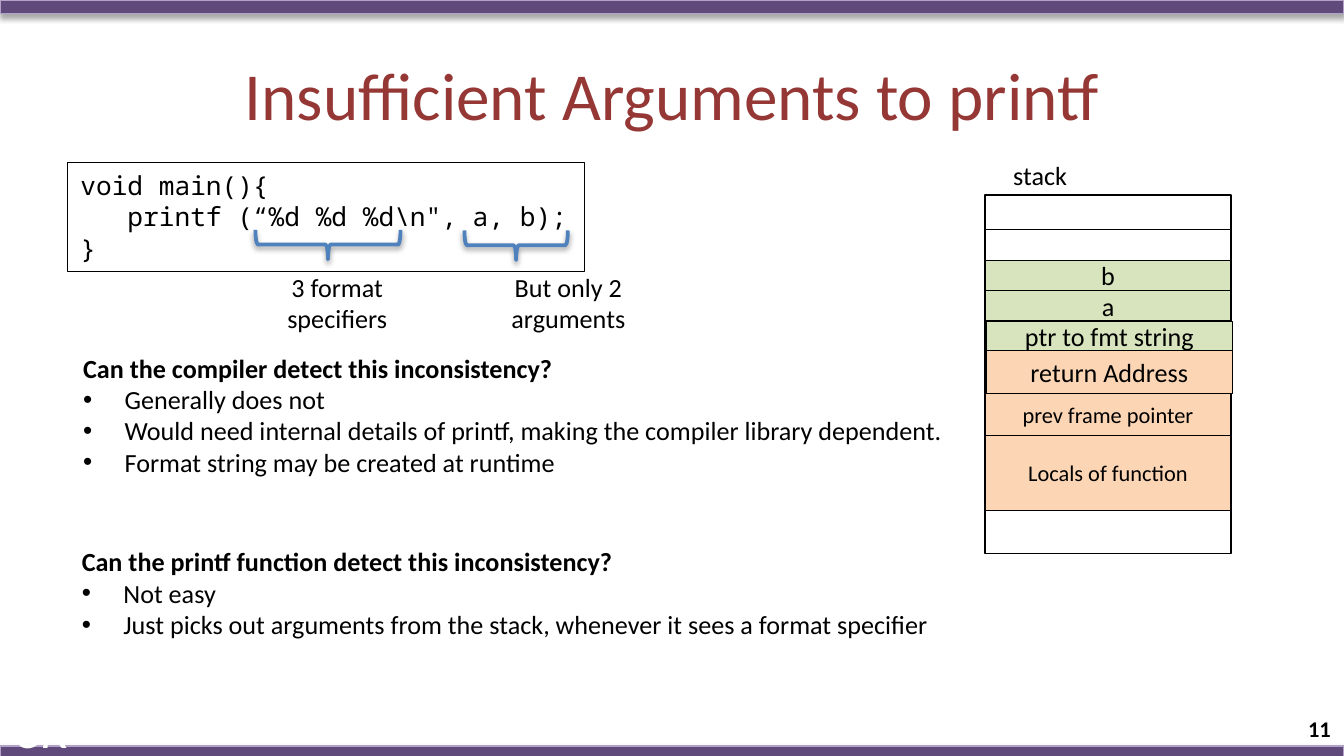
from lxml.etree import SubElement
from pptx import Presentation
from pptx.dml.color import RGBColor
from pptx.enum.shapes import MSO_SHAPE
from pptx.enum.text import MSO_ANCHOR, PP_ALIGN
from pptx.oxml.ns import qn
from pptx.util import Inches, Pt

# Content
TITLE = "Insufficient Arguments to printf"
PAGE_NUMBER = "11"
INITIALS = "CR"
CODE = ["void main(){", "   printf (“%d %d %d\\n\", a, b);", "}"]
# Brace: left, top, width, height before its quarter turn
BRACES = [(2.33, 1.28, 0.22, 1.08), (3.73, 1.44, 0.22, 0.77)]
BRACE_NOTES = [
    ("3 format\nspecifiers", (2.03, 1.97, 0.96, 0.57)),
    ("But only 2\narguments", (3.7, 1.97, 1.06, 0.57)),
]
QUESTIONS = [
    ((0.52, 2.57, 6.64, 1.28), [
        "Can the compiler detect this inconsistency?",
        "Generally does not",
        "Would need internal details of printf, making the compiler library dependent.",
        "Format string may be created at runtime",
    ]),
    ((0.51, 4.01, 6.58, 0.81), [
        "Can the printf function detect this inconsistency?",
        "Not easy",
        "Just picks out arguments from the stack, whenever it sees a format specifier",
    ]),
]
# Stack slots from the top: text, height, fill, text size, shift to the right
STACK = [
    ("", 0.23, None, 14, 0),
    ("b", 0.22, "green", 14, 0),
    ("a", 0.23, "green", 14, 0),
    ("ptr to fmt string", 0.22, "green", 14, 0.01),
    ("return Address", 0.32, "orange", 14, 0.01),
    ("prev frame pointer", 0.31, "orange", 12, 0),
    ("Locals of function", 0.56, "orange", 12, 0),
]

# Look and layout
COLORS = {
    "black": "000000", "white": "FFFFFF", "title": "953735",
    "bar": "604A7B", "bar_edge": "B3A2C7", "brace": "4F81BD",
    "green": "D7E4BD", "orange": "FCD5B5",
}
WIDTH = 10
HEIGHT = WIDTH * 9 / 16
BAR_HEIGHT = 0.1
STACK_LEFT, STACK_TOP, STACK_WIDTH, STACK_HEIGHT = 7.33, 1.45, 1.83, 2.67
FIRST_SLOT_TOP = STACK_TOP + 0.26
INDENT = 0.31

deck = Presentation()
deck.slide_width, deck.slide_height = Inches(WIDTH), Inches(HEIGHT)
page = deck.slides.add_slide(deck.slide_layouts[6])


def color(name):
    return RGBColor.from_string(COLORS[name])


def write(box, lines, size=14, font="Calibri", ink="black", bold=False, italic=False,
          align=PP_ALIGN.LEFT, anchor=MSO_ANCHOR.TOP, wrap=False, question=False):
    """Fill a box; a question has a bold first line and bullets below it."""
    frame = box.text_frame
    frame.word_wrap = wrap
    frame.vertical_anchor = anchor
    for index, line in enumerate(lines):
        para = frame.add_paragraph() if index else frame.paragraphs[0]
        para.alignment = align
        if question and index:
            properties = para._p.get_or_add_pPr()
            properties.set("marL", str(Inches(INDENT)))
            properties.set("indent", str(-Inches(INDENT)))
            SubElement(properties, qn("a:buFont"), typeface="Arial")
            SubElement(properties, qn("a:buChar"), char="•")
        for part_index, part in enumerate(line.split("\n")):
            if part_index:
                SubElement(para._p.add_br(), qn("a:rPr"), sz=str(size * 100))
            span = para.add_run()
            span.text = part
            span.font.name, span.font.size = font, Pt(size)
            span.font.bold = bold or (question and index == 0)
            span.font.italic = italic
            span.font.color.rgb = color(ink)


def add_text(place, lines, **style):
    box = page.shapes.add_textbox(*map(Inches, place))
    write(box, lines, **style)


def add_shape(place, kind=MSO_SHAPE.RECTANGLE, fill=None, line="black", weight=0.75):
    shape = page.shapes.add_shape(kind, *map(Inches, place))
    shape.shadow.inherit = False
    if fill:
        shape.fill.solid()
        shape.fill.fore_color.rgb = color(fill)
    else:
        shape.fill.background()
    shape.line.color.rgb = color(line)
    shape.line.width = Pt(weight)
    return shape


def add_shadow(shape, opacity, distance):
    effects = shape._element.spPr.find(qn("a:effectLst"))
    shadow = SubElement(effects, qn("a:outerShdw"), blurRad=str(Pt(3.1)),
                        dist=str(Pt(distance)), dir="5400000", rotWithShape="0")
    tint = SubElement(shadow, qn("a:srgbClr"), val=COLORS["black"])
    SubElement(tint, qn("a:alpha"), val=str(opacity * 1000))


# Bars at the top and bottom
for top in (0, 5.55):
    bar = add_shape((0, top, WIDTH, BAR_HEIGHT), fill="bar", line="bar_edge")
    add_shadow(bar, 35, 1.8)
add_text((0, 5.13, 1.67, 0.57), [INITIALS], size=28, ink="white", italic=True, wrap=True)

# Title and page number
add_text((0.5, 0.23, 9, 0.94), [TITLE], size=36, ink="title", wrap=True,
         align=PP_ALIGN.CENTER, anchor=MSO_ANCHOR.MIDDLE)
add_text((7.67, 5.27, 2.33, 0.3), [PAGE_NUMBER], size=12, bold=True, wrap=True,
         align=PP_ALIGN.RIGHT, anchor=MSO_ANCHOR.MIDDLE)

# Code
write(add_shape((0.5, 1.21, 3.85, 0.81)), CODE, font="Noto Sans Mono")

# Stack
add_shape((STACK_LEFT, STACK_TOP, STACK_WIDTH, STACK_HEIGHT))
add_text((7.44, 1.14, 0.61, 0.34), ["stack"])
top = FIRST_SLOT_TOP
for label, height, fill, size, shift in STACK:
    slot = add_shape((STACK_LEFT + shift, top, STACK_WIDTH, height), fill=fill)
    if label:
        write(slot, [label], size=size, align=PP_ALIGN.CENTER, anchor=MSO_ANCHOR.MIDDLE)
    top += height

# Questions
for place, lines in QUESTIONS:
    add_text(place, lines, question=True)

# Braces under the code and their notes
for place in BRACES:
    brace = add_shape(place, kind=MSO_SHAPE.RIGHT_BRACE, line="brace", weight=2)
    brace.rotation = 90
    add_shadow(brace, 38, 1.6)
for note, place in BRACE_NOTES:
    add_text(place, [note], align=PP_ALIGN.CENTER)

deck.save("out.pptx")
